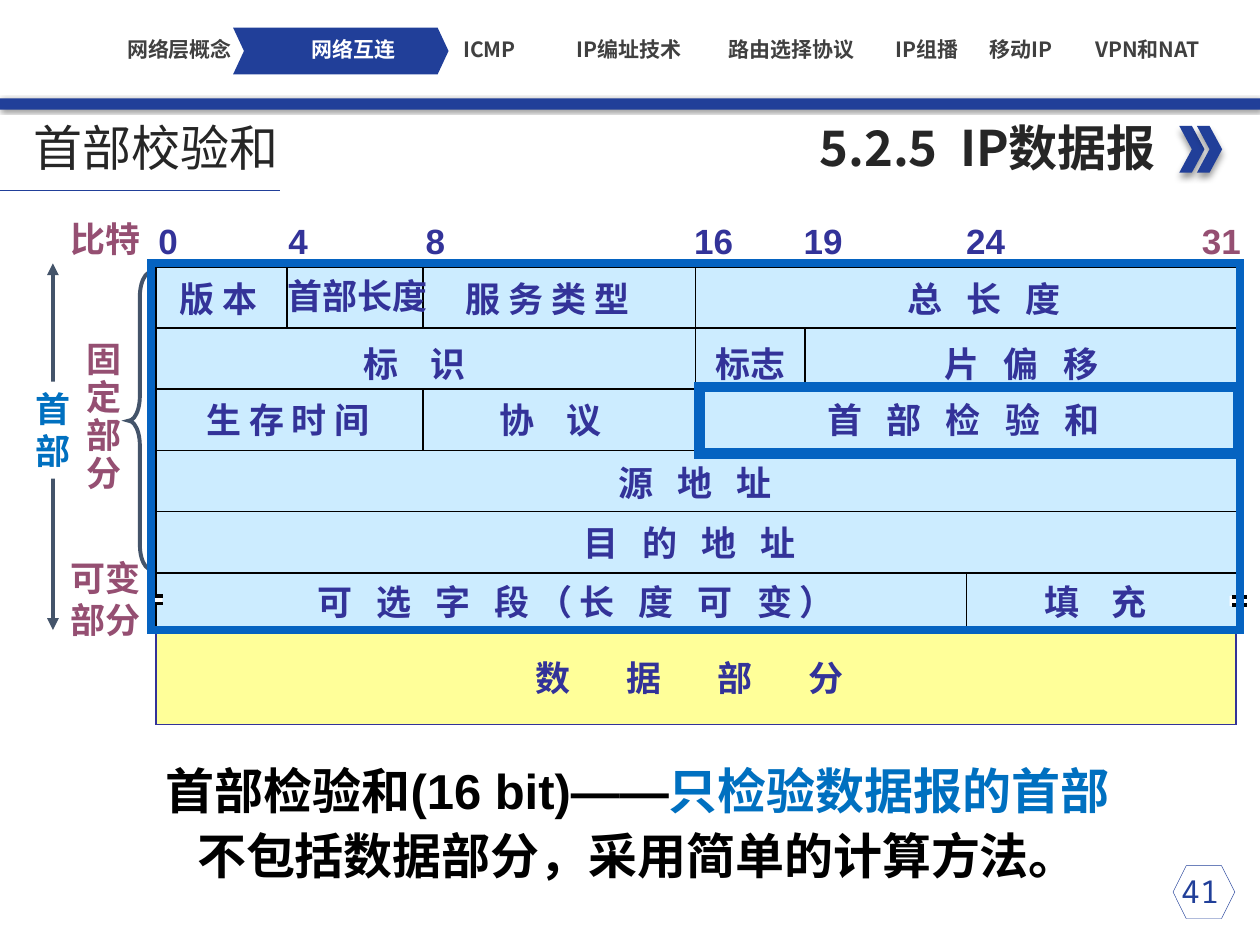
"""Build the slide on the IP datagram header checksum."""
from lxml.etree import SubElement
from pptx import Presentation
from pptx.dml.color import RGBColor
from pptx.enum.shapes import MSO_CONNECTOR, MSO_SHAPE
from pptx.enum.text import MSO_ANCHOR, PP_ALIGN
from pptx.oxml.ns import qn
from pptx.util import Inches, Pt

THEME = {
    "navy": "213F99", "label": "333399", "plum": "954F72", "sky": "0070C0",
    "frame": "0563C1", "slate": "44546A", "header": "CCECFF", "data": "FFFF99",
    "white": "FFFFFF", "black": "000000", "title": "262626", "menu": "404040",
    "sans": "Noto Sans CJK SC", "mono": "Noto Sans Mono", "body": "Arial",
    "heading_size": 28, "field_size": 20, "number_size": 18, "menu_size": 12,
}

MENU = [
    ("网络层概念", 0.7), ("网络互连", 2.08), ("ICMP", 3.16), ("IP编址技术", 4.27),
    ("路由选择协议", 5.56), ("IP组播", 6.63), ("移动IP", 7.38), ("VPN和NAT", 8.38),
]
CURRENT_MENU = "网络互连"
BIT_NUMBERS = [
    ("0", 1.16, 0.36), ("4", 2.19, 0.36), ("8", 3.28, 0.36), ("16", 5.41, 0.51),
    ("19", 6.28, 0.51), ("24", 7.57, 0.51), ("31", 9.44, 0.51),
]
TIGHT, WIDE, WIDER, WIDEST = -0.6, 4.1, 6.3, 13.2
FIELD_ROWS = [
    (2.15, [("版 本", 1.33, 0.84, TIGHT), ("服 务 类 型", 3.6, 1.56, TIGHT),
            ("总 长 度", 7.1, 1.51, WIDE)]),
    (2.13, [("首部长度", 2.18, 1.33, 0)]),
    (2.67, [("标 识", 2.79, 1.07, WIDER), ("标志", 5.58, 0.76, 0),
            ("片 偏 移", 7.4, 1.51, WIDE)]),
    (3.11, [("生 存 时 间", 1.54, 1.56, TIGHT), ("协 议", 3.87, 1.07, WIDER),
            ("首 部 检 验 和", 6.47, 2.54, WIDE)]),
    (3.61, [("源 地 址", 4.81, 1.51, WIDE)]),
    (4.09, [("目 的 地 址", 4.53, 2.02, WIDE)]),
    (4.56, [("可 选 字 段（长 度 可 变）", 2.42, 5.2, WIDE),
            ("填 充", 8.19, 1.07, WIDER)]),
    (5.16, [("数 据 部 分", 4.15, 3.18, WIDEST)]),
]
SIDE_LABELS = [
    (["比特"], (0.46, 1.68, 0.76, 0.43), "plum", 1),
    (["固", "定", "部", "分"], (0.59, 2.67, 0.48, 1.31), "plum", 0.9),
    (["可变", "部分"], (0.46, 4.37, 0.76, 0.77), "plum", 1),
    (["首", "部"], (0.18, 3.03, 0.48, 0.77), "sky", 1),
]
SUMMARY = [
    [("首部检验和(16 bit)——", "black"), ("只检验数据报的首部", "sky")],
    [("不包括数据部分，采用简单的计算方法。", "black")],
]
GRID_TOP, ROW_HEIGHT, GRID_LEFT, GRID_RIGHT = 2.12, 0.485, 1.22, 9.84
DIVIDERS = [(2.28, 0, 1), (3.36, 0, 1), (3.36, 2, 3), (5.52, 0, 3),
            (6.39, 1, 2), (7.67, 5, 6)]


def color(name):
    return RGBColor.from_string(THEME[name])


def add_box(slide, kind, place, fill=None, line=None, width=1, adjust=None, shadow=None):
    shape = slide.shapes.add_shape(kind, *map(Inches, place))
    shape.shadow.inherit = False
    if fill:
        shape.fill.solid()
        shape.fill.fore_color.rgb = color(fill)
    else:
        shape.fill.background()
    if line:
        shape.line.color.rgb = color(line)
        shape.line.width = Pt(width)
        SubElement(shape.line._get_or_add_ln(), qn("a:miter"), lim="800000")
    else:
        shape.line.fill.background()
    if adjust is not None:
        shape.adjustments[0] = adjust
    if shadow:
        blur, distance, angle = shadow
        effects = shape._element.spPr.find(qn("a:effectLst"))
        outer = SubElement(effects, qn("a:outerShdw"), blurRad=str(Pt(blur)),
                           dist=str(Pt(distance)), dir=str(angle * 60000))
        shade = SubElement(outer, qn("a:srgbClr"), val=THEME["black"])
        SubElement(shade, qn("a:alpha"), val="40000")
    return shape


def add_line(slide, start, end, line="black", width=1, arrows=False):
    connector = slide.shapes.add_connector(
        MSO_CONNECTOR.STRAIGHT, *map(Inches, start + end))
    connector.line.color.rgb = color(line)
    connector.line.width = Pt(width)
    if arrows:
        outline = connector.line._get_or_add_ln()
        for tag in ("a:headEnd", "a:tailEnd"):
            SubElement(outline, qn(tag), type="triangle")
    SubElement(connector._element.spPr, qn("a:effectLst"))


def add_text(slide, paragraphs, place, size="field_size", font="body", bold=True,
             wrap=False, align=PP_ALIGN.LEFT, anchor=MSO_ANCHOR.TOP,
             margins=(0.1, 0.05), line_spacing=1, letter_spacing=0):
    frame = slide.shapes.add_textbox(*map(Inches, place)).text_frame
    frame.word_wrap = wrap
    frame.vertical_anchor = anchor
    frame.margin_left = frame.margin_right = Inches(margins[0])
    frame.margin_top = frame.margin_bottom = Inches(margins[1])
    for index, runs in enumerate(paragraphs):
        paragraph = frame.paragraphs[0] if index == 0 else frame.add_paragraph()
        paragraph.alignment = align
        paragraph.line_spacing = line_spacing
        paragraph.font.size = Pt(THEME[size])
        paragraph.font.bold = bold
        paragraph.font.name = THEME[font]
        for text, ink in runs:
            run = paragraph.add_run()
            run.text = text
            run.font.color.rgb = color(ink)
            run.font.size = Pt(THEME[size])
            run.font.bold = bold
            run.font.name = THEME[font]
            properties = run._r.get_or_add_rPr()
            SubElement(properties, qn("a:ea"), typeface=THEME[font])
            if letter_spacing:
                properties.set("spc", str(round(letter_spacing * 100)))


def add_heading(slide):
    add_box(slide, MSO_SHAPE.RECTANGLE, (0, 0.78, 10, 0.09), "navy", shadow=(2, 1, 45))
    for left in (9.36, 9.5):
        add_box(slide, MSO_SHAPE.CHEVRON, (left, 1, 0.2, 0.37), "navy", shadow=(4, 3, 90))
    add_text(slide, [[("5.2.5  IP数据报", "title")]], (0.76, 0.88, 8.51, 0.57),
             "heading_size", "sans", wrap=True, align=PP_ALIGN.RIGHT)
    add_line(slide, (0, 1.51), (2.22, 1.51), "navy", 0.5)
    add_text(slide, [[("首部校验和", "title")]], (0.17, 0.92, 3.04, 0.49),
             "heading_size", "sans", bold=False, wrap=True, anchor=MSO_ANCHOR.MIDDLE)
    add_box(slide, MSO_SHAPE.CHEVRON, (1.85, 0.22, 1.71, 0.37), "navy", adjust=0.234)
    for name, left in MENU:
        ink = "white" if name == CURRENT_MENU else "menu"
        add_text(slide, [[(name, ink)]], (left, 0.29, 1.45, 0.2), "menu_size", "sans",
                 wrap=True, align=PP_ALIGN.CENTER, anchor=MSO_ANCHOR.MIDDLE, margins=(0, 0))


def add_datagram(slide):
    add_box(slide, MSO_SHAPE.RECTANGLE, (1.23, 2.11, 8.6, 2.89), "header", "black", 2)
    add_box(slide, MSO_SHAPE.RECTANGLE, (1.24, 5.01, 8.57, 0.74), "data", "label")
    row_edges = [GRID_TOP + ROW_HEIGHT * row for row in range(7)]
    for edge in row_edges[1:-1]:
        add_line(slide, (GRID_LEFT, edge), (GRID_RIGHT, edge))
    for left, first, last in DIVIDERS:
        add_line(slide, (left, row_edges[first]), (left, row_edges[last]))
    for number, left, width in BIT_NUMBERS:
        ink = "plum" if number == "31" else "label"
        add_text(slide, [[(number, ink)]], (left, 1.69, width, 0.43))
    for top, fields in FIELD_ROWS:
        for name, left, width, spacing in fields:
            add_text(slide, [[(name, "label")]], (left, top, width, 0.43),
                     wrap=True, letter_spacing=spacing)
    for left, top in ((1.15, 4.72), (9.76, 4.73)):
        add_box(slide, MSO_SHAPE.RECTANGLE, (left, top, 0.14, 0.08), "white")
        for edge in (top + 0.01, top + 0.07):
            add_line(slide, (left + 0.02, edge), (left + 0.14, edge), width=2)


def add_side_labels(slide):
    add_box(slide, MSO_SHAPE.LEFT_BRACE, (1.02, 2.16, 0.18, 2.36), None, "slate", 2.25, 1.08)
    add_line(slide, (0.42, 2.09), (0.42, 5), "slate", 2.25, arrows=True)
    add_box(slide, MSO_SHAPE.RECTANGLE, (0.18, 3.03, 0.48, 0.77), "white")
    for lines, place, ink, spacing in SIDE_LABELS:
        add_text(slide, [[(line, ink)] for line in lines], place, line_spacing=spacing)


def main():
    presentation = Presentation()
    presentation.slide_width, presentation.slide_height = Inches(10), Inches(7.5)
    slide = presentation.slides.add_slide(presentation.slide_layouts[6])
    add_heading(slide)
    add_datagram(slide)
    add_side_labels(slide)
    add_box(slide, MSO_SHAPE.RECTANGLE, (1.2, 2.09, 8.64, 2.91), None, "frame", 4.5)
    add_box(slide, MSO_SHAPE.RECTANGLE, (5.55, 3.07, 4.28, 0.53), None, "frame", 6)
    add_text(slide, SUMMARY, (1.16, 5.94, 7.8, 1.14), "heading_size", wrap=True,
             align=PP_ALIGN.CENTER, line_spacing=1.1)
    add_box(slide, MSO_SHAPE.HEXAGON, (9.31, 6.87, 0.49, 0.42), None, "navy", 0.25)
    add_text(slide, [[("41", "navy")]], (9.09, 6.87, 0.87, 0.4), "number_size", "mono",
             bold=False, wrap=True, align=PP_ALIGN.CENTER)
    presentation.save("out.pptx")


if __name__ == "__main__":
    main()
